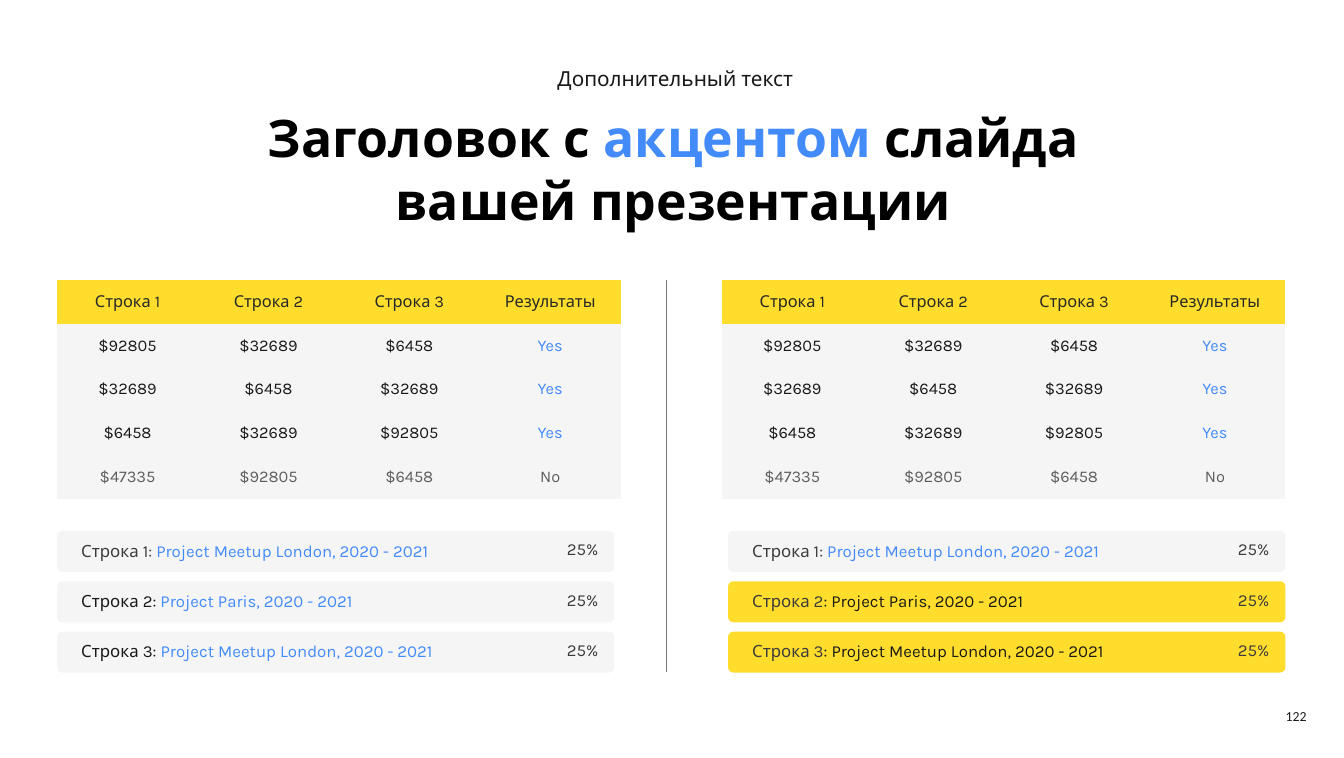
from dataclasses import dataclass

import pptx
import pptx.dml.color
import pptx.enum.shapes
import pptx.enum.text
import pptx.oxml.ns
import pptx.slide
import pptx.text.text
import pptx.util
from lxml import etree
from pptx.dml.color import RGBColor
from pptx.enum.text import MSO_ANCHOR, PP_ALIGN
from pptx.util import Inches

YELLOW = RGBColor(0xFF, 0xDD, 0x2C)
PALE_GREY = RGBColor(0xF5, 0xF5, 0xF6)
BLUE = RGBColor(0x43, 0x8B, 0xF9)
BLACK = RGBColor(0x00, 0x00, 0x00)
INK = RGBColor(0x1A, 0x19, 0x19)
HEADER_INK = RGBColor(0x28, 0x28, 0x28)
DARK_GREY = RGBColor(0x3D, 0x3B, 0x3B)
MUTED = RGBColor(0x5E, 0x5E, 0x5E)
DIVIDER_GREY = RGBColor(0x75, 0x76, 0x75)

FONT = "Karla"
NO_TABLE_STYLE = "{2D5ABB26-0587-4C30-8999-92F81FD0307C}"
TABLE_WIDTH, TABLE_HEIGHT, TABLE_TOP = 9.08, 3.52, 4.51
BAR_TOP, BAR_STEP = 8.55, 0.81
BAR_WIDTH, BAR_HEIGHT = 8.98, 0.66

TABLE_ROWS = [
    ["Строка 1", "Строка 2", "Строка 3", "Результаты"],
    ["$92805", "$32689", "$6458", "Yes"],
    ["$32689", "$6458", "$32689", "Yes"],
    ["$6458", "$32689", "$92805", "Yes"],
    ["$47335", "$92805", "$6458", "No"],
]


@dataclass
class Segment:
    text: str
    color: RGBColor


@dataclass
class Bar:
    label: Segment
    project: Segment
    fill: RGBColor


@dataclass
class Panel:
    table_left: float
    bar_left: float
    bars: list[Bar]


LONDON, PARIS = "Project Meetup London, 2020 - 2021", "Project Paris, 2020 - 2021"
FIRST_BAR = Bar(Segment("Строка 1: ", DARK_GREY), Segment(LONDON, BLUE), PALE_GREY)
PANELS = [
    Panel(0.92, 0.92, [
        FIRST_BAR,
        Bar(Segment("Строка 2: ", INK), Segment(PARIS, BLUE), PALE_GREY),
        Bar(Segment("Строка 3: ", INK), Segment(LONDON, BLUE), PALE_GREY),
    ]),
    Panel(11.63, 11.73, [
        FIRST_BAR,
        Bar(Segment("Строка 2", DARK_GREY), Segment(": " + PARIS, INK), YELLOW),
        Bar(Segment("Строка 3", DARK_GREY), Segment(": " + LONDON, INK), YELLOW),
    ]),
]


def write(paragraph: pptx.text.text._Paragraph, segments: list[Segment], size: float,
          align: PP_ALIGN = PP_ALIGN.LEFT, font: str = FONT, bold: bool = False) -> None:
    paragraph.alignment = align
    for segment in segments:
        run = paragraph.add_run()
        run.text = segment.text
        run.font.name = font
        run.font.size = pptx.util.Pt(size)
        run.font.bold = bold
        run.font.color.rgb = segment.color


def add_text(shapes, left: float, top: float, width: float, height: float,
             segments: list[Segment], size: float, align: PP_ALIGN = PP_ALIGN.LEFT,
             font: str = FONT) -> pptx.text.text.TextFrame:
    box = shapes.add_textbox(Inches(left), Inches(top), Inches(width), Inches(height))
    box.text_frame.word_wrap = True
    write(box.text_frame.paragraphs[0], segments, size, align, font)
    return box.text_frame


def fill_title(slide: pptx.slide.Slide) -> None:
    title = slide.shapes.title
    title.left, title.top = Inches(4.09), Inches(1.66)
    title.width, title.height = Inches(13.46), Inches(2.13)
    frame = title.text_frame
    frame.word_wrap = True
    frame.auto_size = pptx.enum.text.MSO_AUTO_SIZE.NONE
    frame.vertical_anchor = MSO_ANCHOR.TOP
    frame.margin_left, frame.margin_right = Inches(0.05), 0
    first, second = frame.paragraphs[0], frame.add_paragraph()
    write(first, [Segment("Заголовок с ", BLACK), Segment("акцентом", BLUE),
                  Segment(" слайда", BLACK)], 60, PP_ALIGN.CENTER, bold=True)
    write(second, [Segment("вашей презентации", BLACK)], 60, PP_ALIGN.CENTER, bold=True)
    second.space_before = pptx.util.Pt(1)


def cell_color(row: int, value: str) -> RGBColor:
    if row == 0:
        return HEADER_INK
    if row == len(TABLE_ROWS) - 1:
        return MUTED
    return BLUE if value == "Yes" else INK


def add_result_table(slide: pptx.slide.Slide, left: float) -> None:
    frame = slide.shapes.add_table(
        len(TABLE_ROWS), len(TABLE_ROWS[0]), Inches(left), Inches(TABLE_TOP),
        Inches(TABLE_WIDTH), Inches(TABLE_HEIGHT))
    table = frame.table
    table.first_row = table.horz_banding = False
    for style in frame.element.iter(pptx.oxml.ns.qn("a:tableStyleId")):
        style.text = NO_TABLE_STYLE
    for row, values in enumerate(TABLE_ROWS):
        for column, value in enumerate(values):
            cell = table.cell(row, column)
            cell.fill.solid()
            cell.fill.fore_color.rgb = PALE_GREY if row else YELLOW
            cell.vertical_anchor = MSO_ANCHOR.MIDDLE
            cell.margin_left = cell.margin_right = Inches(0.16)
            cell.margin_top = cell.margin_bottom = Inches(0.08)
            write(cell.text_frame.paragraphs[0], [Segment(value, cell_color(row, value))],
                  19, PP_ALIGN.CENTER)


def add_bar(slide: pptx.slide.Slide, left: float, top: float, bar: Bar) -> None:
    shapes = slide.shapes.add_group_shape().shapes
    back = shapes.add_shape(
        pptx.enum.shapes.MSO_SHAPE.ROUNDED_RECTANGLE,
        Inches(left), Inches(top), Inches(BAR_WIDTH), Inches(BAR_HEIGHT))
    back.adjustments[0] = 0.13
    back.shadow.inherit = False
    back.fill.solid()
    back.fill.fore_color.rgb = bar.fill
    back.line.fill.background()
    add_text(shapes, left + 0.29, top + 0.1, 7.34, 0.43, [bar.label, bar.project], 19.5)
    add_text(shapes, left + 7.4, top + 0.08, 1.42, 0.43,
             [Segment("25%", DARK_GREY)], 19.5, PP_ALIGN.RIGHT)


def add_divider(slide: pptx.slide.Slide) -> None:
    divider = slide.shapes.add_connector(
        pptx.enum.shapes.MSO_CONNECTOR.STRAIGHT,
        Inches(10.73), Inches(TABLE_TOP), Inches(10.73), Inches(10.82))
    divider.line.color.rgb = DIVIDER_GREY
    divider.line.width = pptx.util.Pt(1)
    properties = divider.element.find(pptx.oxml.ns.qn("p:spPr"))
    etree.SubElement(properties, pptx.oxml.ns.qn("a:effectLst"))


def main() -> None:
    presentation = pptx.Presentation()
    # Slide of 55 by 31 centimetres
    presentation.slide_width = Inches(55 / 2.54)
    presentation.slide_height = Inches(31 / 2.54)
    slide = presentation.slides.add_slide(presentation.slide_layouts.get_by_name("Title Only"))

    # Heading
    subtitle = add_text(slide.shapes, 4.16, 1.01, 13.34, 0.5,
                        [Segment("Дополнительный текст", INK)], 24, PP_ALIGN.CENTER)
    subtitle.margin_right = 0
    fill_title(slide)

    # Two panels, each with a table and three bars
    for panel in PANELS:
        add_result_table(slide, panel.table_left)
        for index, bar in enumerate(panel.bars):
            add_bar(slide, panel.bar_left, BAR_TOP + index * BAR_STEP, bar)
    add_divider(slide)

    # Page number
    number = add_text(slide.shapes, 19.98, 11.29, 1.17, 0.47,
                      [Segment("122", INK)], 16, PP_ALIGN.RIGHT, "Calibri")
    number.vertical_anchor = MSO_ANCHOR.MIDDLE

    presentation.save("out.pptx")


if __name__ == "__main__":
    main()
